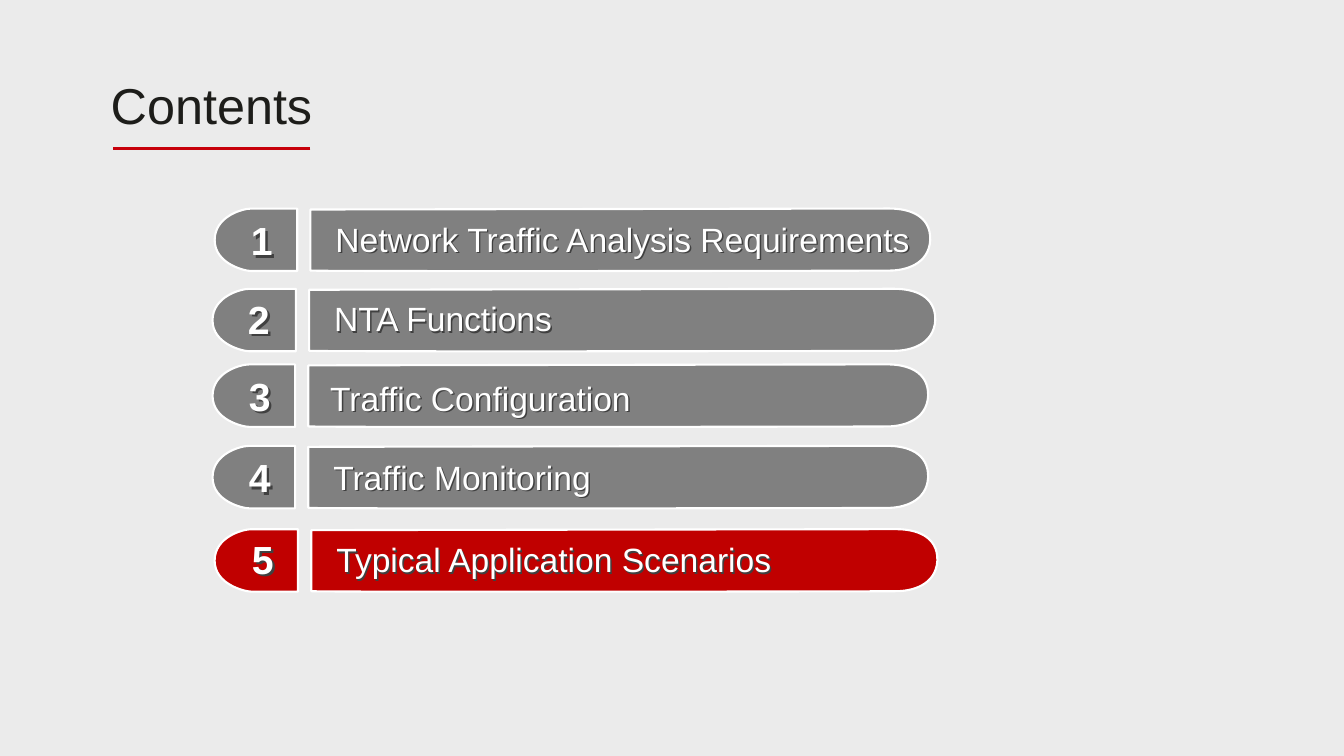
import pptx
import pptx.util
import pptx.dml.color
import pptx.enum.shapes
import pptx.enum.text
import pptx.oxml
import pptx.oxml.ns

Pt = pptx.util.Pt
COLORS = {"page": "EBEBEB", "title": "1D1D1A", "rule": "C7000B", "shadow": "404040",
          "plain": "808080", "active": "C00000", "white": "FFFFFF"}
FONT = "Arial"
TITLE = "Contents"
ENTRIES = [
    ("Network Traffic Analysis Requirements", "plain", 153.4, 149, 1, (79.2, 3.6, 441.4), (18.7, 2.2)),
    ("NTA Functions", "plain", 151.9, 206.3, 1.01, (79.9, 3.2, 414.7), (18, 1)),
    ("Traffic Configuration", "plain", 151.9, 260.3, 1, (77, 6.1, 327.6), (18.7, 1.8)),
    ("Traffic Monitoring", "plain", 151.9, 318.5, 1, (79.2, 4, 406.8), (18.7, 1.9)),
    ("Typical Application Scenarios", "active", 153.4, 378, 1.01, (79.9, 3.6, 353.5), (19.4, 0.7)),
]
BAR_OFFSET = 68.4
BAR = [[(0, 0.7)], [(0, 44.3)],
       [(15, 45), (402.5, 44.5), (414, 44.3)],
       [(425, 44.3), (442, 40), (443, 22.5)],
       [(443.5, 5), (428, 0), (414, 0)],
       [(400, 0), (14.4, 0.7), (0, 0.7)]]
TAB = [[(59, 0)],
       [(59, 22), (59, 44.6), (59, 44.6)],
       [(26, 44.6)],
       [(21.5, 44.6), (0, 39.5), (0, 22.5)],
       [(0, 5.5), (20, 0), (26, 0)],
       [(59, 0)]]


def rgb(name):
    return pptx.dml.color.RGBColor.from_string(COLORS[name])


def element(tag, content=""):
    return pptx.oxml.parse_xml(f'<a:{tag} {pptx.oxml.ns.nsdecls("a")}>{content}</a:{tag}>')


def bend(outline, segments):
    lines = iter(list(outline._element.iter(pptx.oxml.ns.qn("a:lnTo"))))
    for segment in segments[1:]:
        first = next(lines)
        if len(segment) == 3:
            curve = element("cubicBezTo")
            first.addprevious(curve)
            for line in (first, next(lines), next(lines)):
                curve.append(line[0])
                line.getparent().remove(line)


def add_outline(shapes, segments, left, top, scale, fill):
    points = [(Pt(left + x * scale), Pt(top + y)) for segment in segments for x, y in segment]
    builder = shapes.build_freeform(*points[0], scale=1.0)
    builder.add_line_segments(points[1:], close=True)
    outline = builder.convert_to_shape()
    bend(outline, segments)
    outline.shadow.inherit = False
    outline.fill.solid()
    outline.fill.fore_color.rgb = rgb(fill)
    outline.line.color.rgb = rgb("white")
    outline.line.width = Pt(1.5)


def add_text(shapes, text, frame, size, color, bold=False, centred=False, wrap=True, shadow=0):
    box = shapes.add_textbox(*map(Pt, frame))
    box.text_frame.word_wrap = wrap
    para = box.text_frame.paragraphs[0]
    if centred:
        para.alignment = pptx.enum.text.PP_ALIGN.CENTER
    span = para.add_run()
    span.text = text
    span.font.size = Pt(size)
    span.font.name = FONT
    span.font.bold = bold
    span.font.color.rgb = rgb(color)
    if shadow:
        box._element.spPr.append(element(
            "effectLst",
            f'<a:outerShdw dist="{Pt(shadow)}" dir="2700000" algn="tl" rotWithShape="0">'
            f'<a:srgbClr val="{COLORS["shadow"]}"/></a:outerShdw>'))


deck = pptx.Presentation()
deck.slide_width, deck.slide_height = Pt(960.48), Pt(540)
page = deck.slides.add_slide(deck.slide_layouts[6])
page.background.fill.solid()
page.background.fill.fore_color.rgb = rgb("page")

rule = page.shapes.add_connector(pptx.enum.shapes.MSO_CONNECTOR.STRAIGHT,
                                 Pt(221.8), Pt(106.2), Pt(81), Pt(106.2))
rule.line.color.rgb = rgb("rule")
rule.line.width = Pt(2.25)
rule._element.spPr.append(element("effectLst"))
add_text(page.shapes, TITLE, (72, 49.7, 159.8, 51.1), 36, "title", wrap=False)

for number, (text, fill, left, top, scale, label, digit) in enumerate(ENTRIES, 1):
    row = page.shapes.add_group_shape().shapes
    add_outline(row, BAR, left + BAR_OFFSET * scale, top, scale, fill)
    add_outline(row, TAB, left, top, scale, fill)
    add_text(row, text, (left + label[0], top + label[1], label[2], 36), 24, "white", shadow=1.5)
    add_text(row, str(number), (left + digit[0], top + digit[1], 30, 41), 28, "white",
             bold=True, centred=True, shadow=2.5)

deck.save("out.pptx")
